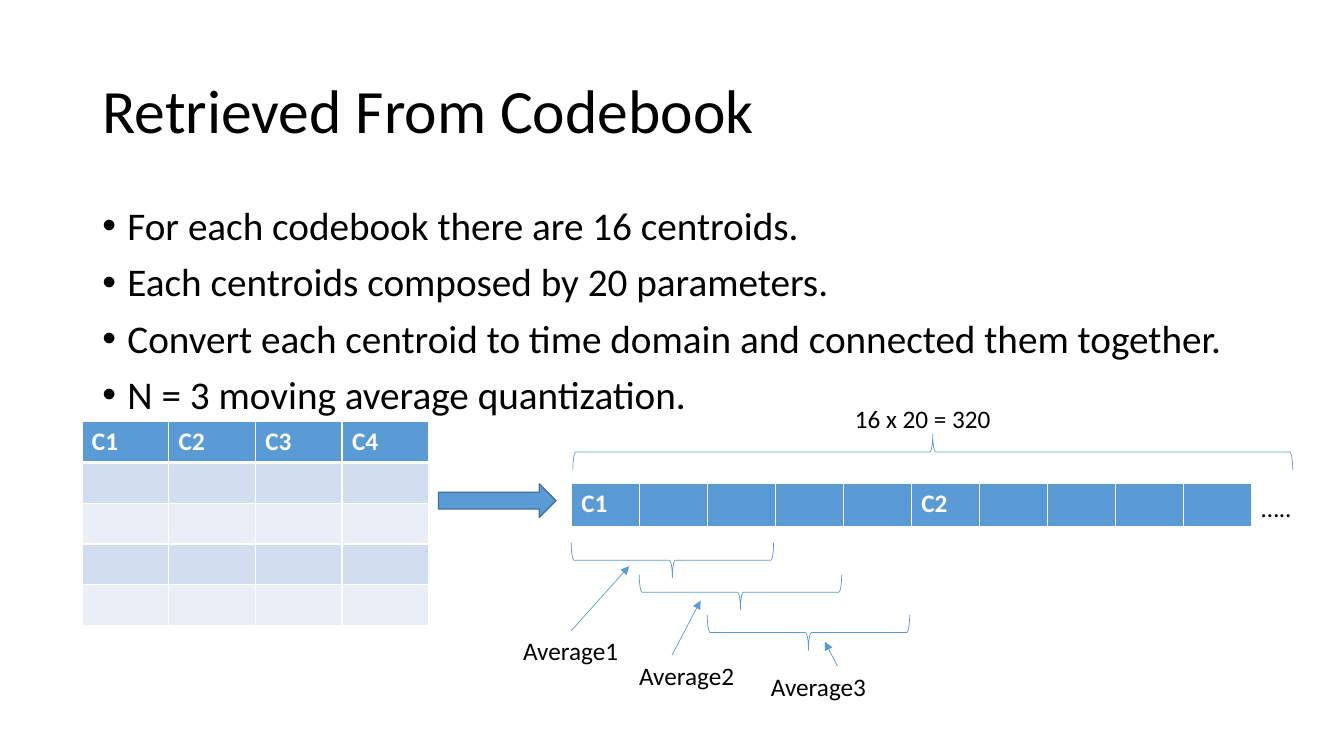
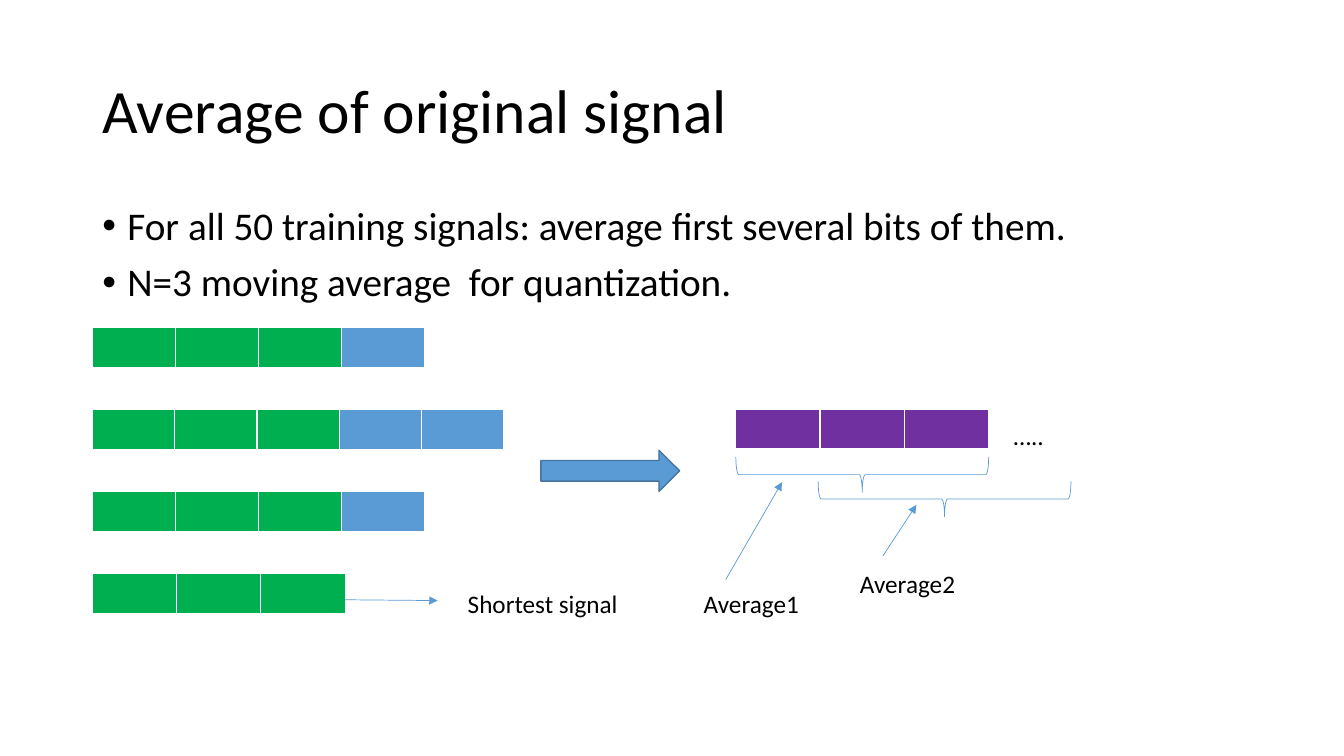
from lxml import etree
from pptx import Presentation
from pptx.dml.color import RGBColor
from pptx.enum.shapes import MSO_CONNECTOR, MSO_SHAPE
from pptx.enum.text import MSO_ANCHOR, PP_ALIGN
from pptx.oxml.ns import qn
from pptx.util import Inches, Pt

LEFT = PP_ALIGN.LEFT
TOP, MIDDLE = MSO_ANCHOR.TOP, MSO_ANCHOR.MIDDLE
STRAIGHT = MSO_CONNECTOR.STRAIGHT
ARROW = MSO_SHAPE.RIGHT_ARROW
DOWN, UP = MSO_SHAPE.LEFT_BRACE, MSO_SHAPE.RIGHT_BRACE

FONT = "Calibri"
HUES = {
    "ink": "000000", "white": "FFFFFF", "blue": "5B9BD5", "edge": "43739E",
    "band": "D2DEEF", "pale": "EAEFF7", "green": "00B050", "plum": "7030A0",
}

# The slide is a grid of 160 columns by 90 rows of square units.
COLS, ROWS = 160, 90
UNIT = Inches(7.5) / ROWS
TITLE = (11, 4.8, 138, 17.4)
BODY = (11, 24, 138, 57)
LINE = 4.8
DEPTH = 4.2


def grid(*units):
    return [round(n * UNIT) for n in units]


def hue(name):
    return RGBColor.from_string(HUES[name])


def write(frame, *lines, size=18, color="ink", bold=False, wrap=False,
          anchor=TOP, lead=None, before=None, bullet=False):
    """Put one paragraph per line into a text frame."""
    frame.word_wrap = wrap
    frame.vertical_anchor = anchor
    for i, line in enumerate(lines):
        para = frame.add_paragraph() if i else frame.paragraphs[0]
        para.alignment = LEFT
        if lead:
            para.line_spacing = lead
        if before is not None:
            para.space_before = Pt(before)
        if bullet:
            props = para._p.get_or_add_pPr()
            props.set("marL", str(Inches(0.25)))
            props.set("indent", str(-Inches(0.25)))
            etree.SubElement(props, qn("a:buFont"), typeface="Arial")
            etree.SubElement(props, qn("a:buChar"), char="•")
        run = para.add_run()
        run.text = line
        font = run.font
        font.name, font.size, font.bold = FONT, Pt(size), bold
        font.color.rgb = hue(color)


def text(slide, *lines, box, **style):
    shape = slide.shapes.add_textbox(*grid(*box))
    write(shape.text_frame, *lines, **style)


def page(deck, title, points):
    slide = deck.slides.add_slide(deck.slide_layouts[5])
    head = slide.shapes.title
    head.left, head.top, head.width, head.height = grid(*TITLE)
    write(head.text_frame, title, size=44, wrap=True, anchor=MIDDLE, lead=0.9)
    text(slide, *points, box=BODY, size=28, wrap=True, lead=0.9, before=10,
         bullet=True)
    return slide


def border(cell, top, bottom):
    """Draw white cell edges; the lines go ahead of the fill."""
    props = cell._tc.get_or_add_tcPr()
    sides = (("L", 1), ("R", 1), ("T", top), ("B", bottom))
    for i, (side, width) in enumerate(sides):
        line = etree.Element(qn("a:ln" + side), w=str(Pt(width)))
        fill = etree.SubElement(line, qn("a:solidFill"))
        etree.SubElement(fill, qn("a:srgbClr"), val=HUES["white"])
        props.insert(i, line)


def table(slide, box, fills, heads):
    """Fill a table from rows of colours; heads maps columns to top labels."""
    rows, cols = len(fills), len(fills[0])
    left, top, width, height = grid(*box)
    sheet = slide.shapes.add_table(rows, cols, left, top, width, height).table
    sheet.first_row = sheet.horz_banding = False
    for col in sheet.columns:
        col.width = round(width / cols)
    for r, row in enumerate(fills):
        sheet.rows[r].height = round(height / rows)
        for c, color in enumerate(row):
            cell = sheet.cell(r, c)
            cell.fill.solid()
            cell.fill.fore_color.rgb = hue(color)
            border(cell, 3 if r == 1 else 1, 3 if r == 0 else 1)
            if r == 0 and c in heads:
                write(cell.text_frame, heads[c], color="white", bold=True,
                      wrap=True)


def strip(slide, box, colors, heads=()):
    table(slide, box, [colors], heads)


def block(slide, box):
    arrow = slide.shapes.add_shape(ARROW, *grid(*box))
    arrow.shadow.inherit = False
    arrow.fill.solid()
    arrow.fill.fore_color.rgb = hue("blue")
    arrow.line.color.rgb = hue("edge")
    arrow.line.width = Pt(1)


def brace(slide, left, top, span, kind=DOWN):
    """Lay a brace on its side over the given span."""
    shift = (span - DEPTH) / 2
    shape = slide.shapes.add_shape(
        kind, *grid(left + shift, top - shift, DEPTH, span))
    shape.rotation = 270
    shape.shadow.inherit = False
    shape.fill.background()
    shape.line.color.rgb = hue("blue")
    shape.line.width = Pt(0.5)


def pointer(slide, start, end):
    link = slide.shapes.add_connector(STRAIGHT, *grid(*start, *end))
    link.line.color.rgb = hue("blue")
    link.line.width = Pt(0.5)
    etree.SubElement(link.line._get_or_add_ln(), qn("a:tailEnd"),
                     type="triangle")
    etree.SubElement(link._element.spPr, qn("a:effectLst"))


def means(slide, x, y, step, span, marks):
    """Mark each moving window below a strip whose corner is x, y."""
    for i, (drop, label, tail, tip) in enumerate(marks):
        brace(slide, x + i * step, y + drop, span)
        text(slide, f"Average{i + 1}",
             box=(x + label[0], y + label[1], 13.9, LINE))
        pointer(slide, (x + tail[0], y + tail[1]), (x + tip[0], y + tip[1]))


def book(slide, box):
    names = [f"C{i}" for i in range(1, 5)]
    shades = ["blue", "band", "pale", "band", "pale"]
    table(slide, box, [[shade] * len(names) for shade in shades],
          dict(enumerate(names)))


def chain(slide, x, y):
    """Centroids joined in a row, with their length and averages."""
    cell, count = 8.1, 10
    width = cell * count
    strip(slide, (x, y, width, 5.2), ["blue"] * count, {0: "C1", 5: "C2"})
    text(slide, "…..", box=(x + width, y + 0.4, 6, LINE))
    means(slide, x, y, cell, 24.1, [
        (7, (-6.9, 17.5), (0, 17.5), (6.9, 9.8)),
        (10.8, (6.9, 20.4), (12, 20.4), (15.4, 13.9)),
        (15.6, (22.6, 21.7), (31.7, 21.7), (30.2, 18.8)),
    ])
    brace(slide, x + 0.2, y - 5.9, 85.7, UP)
    text(slide, "16 x 20 = 320", box=(x + 32.6, y - 10.2, 18.7, LINE))


def signals(slide, x, y):
    """Training signals, whose shared first bits are green."""
    pitch = 9.77
    sizes = [(1, 39.6), (2, 49), (1, 39.6), (0, 30.1)]
    for i, (extra, width) in enumerate(sizes):
        strip(slide, (x, y + i * pitch, width, 4.9),
              ["green"] * 3 + ["blue"] * extra)
    pointer(slide, (x + width, y + 32.4), (x + 41.1, y + 32.5))
    text(slide, "Shortest signal", box=(x + 43.5, y + 30.5, 25.6, LINE),
         wrap=True)


def result(slide, x, y):
    width = 30.1
    strip(slide, (x, y, width, 4.9), ["plum"] * 3)
    text(slide, "…..", box=(x + 31.9, y + 0.7, 6, LINE))
    means(slide, x, y, 9.8, width, [
        (5.7, (-5, 20.8), (-1.2, 20.3), (5.5, 8.7)),
        (8.6, (13.6, 18.4), (17.5, 17.5), (21.5, 11.4)),
    ])


def codebook(deck):
    slide = page(deck, "Retrieved From Codebook", [
        "For each codebook there are 16 centroids.",
        "Each centroids composed by 20 parameters.",
        "Convert each centroid to time domain and connected them together.",
        "N = 3 moving average quantization.",
    ])
    book(slide, (9.75, 50.2, 41.3, 24.3))
    block(slide, (52.2, 57.6, 14, 4))
    chain(slide, 68, 57.6)


def average(deck):
    slide = page(deck, "Average of original signal", [
        "For all 50 training signals: average first several bits of them.",
        "N=3 moving average  for quantization.",
    ])
    signals(slide, 11, 39)
    block(slide, (64.4, 53.6, 16.5, 4.9))
    result(slide, 87.6, 48.7)


def main():
    deck = Presentation()
    deck.slide_width, deck.slide_height = grid(COLS, ROWS)
    codebook(deck)
    average(deck)
    deck.save("out.pptx")


if __name__ == "__main__":
    main()
